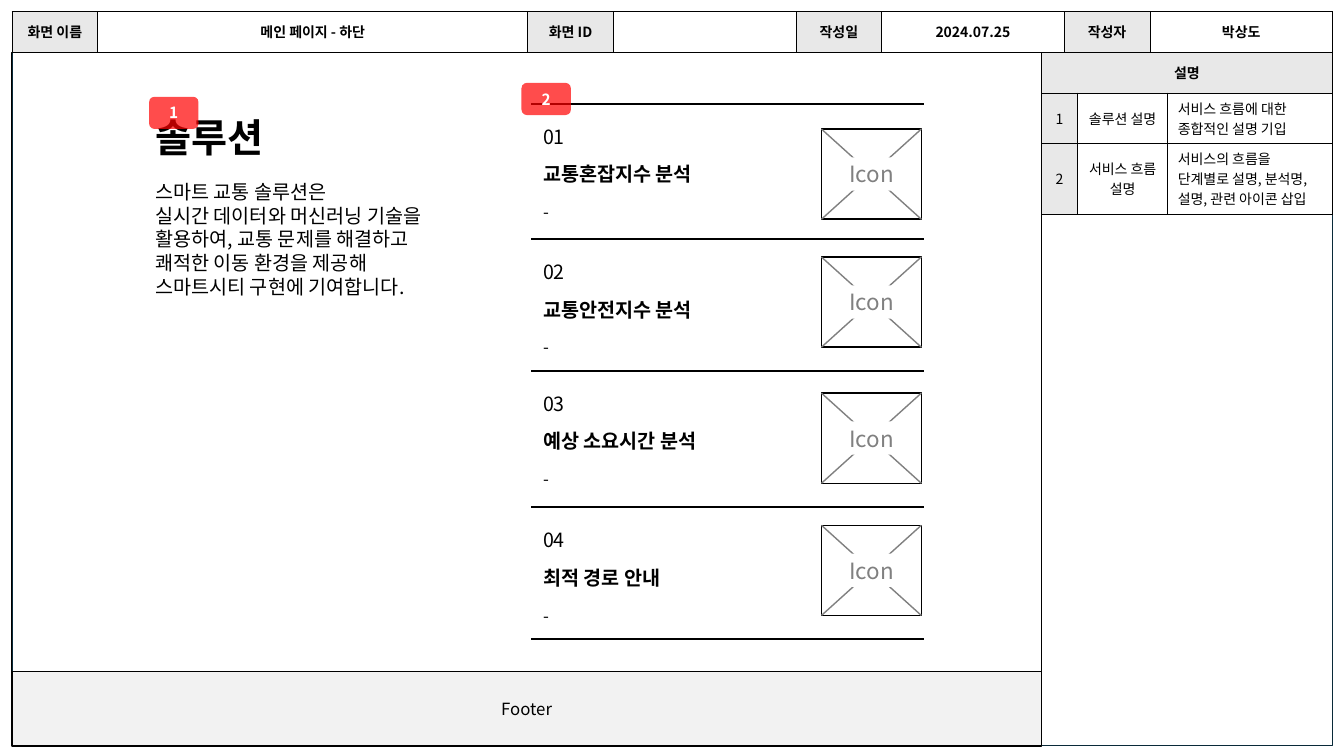
from lxml.etree import SubElement
from pptx import Presentation
from pptx.dml.color import RGBColor
from pptx.enum.shapes import MSO_CONNECTOR as Connector, MSO_SHAPE as Shape
from pptx.enum.text import MSO_ANCHOR as Anchor, MSO_AUTO_SIZE as AutoSize, PP_ALIGN as Align
from pptx.oxml.ns import qn
from pptx.util import Pt

BLACK = RGBColor(0x00, 0x00, 0x00)
WHITE = RGBColor(0xFF, 0xFF, 0xFF)
GRAY = RGBColor(0x80, 0x80, 0x80)
LABEL_GRAY = RGBColor(0xE8, 0xE8, 0xE8)
FOOTER_GRAY = RGBColor(0xF2, 0xF2, 0xF2)
FRAME_NAVY = RGBColor(0x09, 0x2A, 0x39)
RED = RGBColor(0xFF, 0x00, 0x00)
FONT = "Noto Sans CJK KR"

CENTERED = {"word_wrap": True, "vertical_anchor": Anchor.MIDDLE, "margin_top": 0, "margin_bottom": 0}
HUGGING = {"word_wrap": False, "vertical_anchor": Anchor.TOP, "auto_size": AutoSize.SHAPE_TO_FIT_TEXT}
WRAPPED = {"word_wrap": True, "vertical_anchor": Anchor.TOP, "auto_size": AutoSize.NONE}


def apply(target, values):
    for name, value in values.items():
        setattr(target, name, value)


def place(box):
    return [Pt(length) for length in box]


def write(frame, lines, size, color=BLACK, bold=False, paragraph_format=None, frame_format=None):
    apply(frame, frame_format or {})
    for index, line in enumerate(lines):
        paragraph = frame.add_paragraph() if index else frame.paragraphs[0]
        apply(paragraph, paragraph_format or {"alignment": Align.LEFT})
        run = paragraph.add_run()
        run.text = line
        run.font.color.rgb = color
        apply(run.font, {"size": Pt(size), "bold": bold, "name": FONT})
        SubElement(run._r.get_or_add_rPr(), qn("a:ea"), typeface=FONT)


def add_box(shapes, box, kind=Shape.RECTANGLE, fill=None, line=None, width=1):
    shape = shapes.add_shape(kind, *place(box))
    shape.shadow.inherit = False
    if fill is None:
        shape.fill.background()
    else:
        shape.fill.solid()
        shape.fill.fore_color.rgb = fill
    if line is None:
        shape.line.fill.background()
    else:
        shape.line.color.rgb = line
        shape.line.width = Pt(width)
    return shape


def add_line(shapes, start, end, color=BLACK):
    line = shapes.add_connector(Connector.STRAIGHT, *place(start + end))
    line.line.color.rgb = color
    line.line.width = Pt(1)
    SubElement(line._element.spPr, qn("a:effectLst"))


def add_grid(shapes, box, widths, rows):
    """Table of (text, fill, alignment, bold) cells with thin black borders."""
    table = shapes.add_table(len(rows), len(widths), *place(box)).table
    apply(table, {"first_row": False, "horz_banding": False})
    for column, width in zip(table.columns, widths):
        column.width = Pt(width)
    for r, row in enumerate(rows):
        for c, (text, fill, alignment, bold) in enumerate(row):
            cell = table.cell(r, c)
            cell.vertical_anchor = Anchor.MIDDLE
            if text:
                write(cell.text_frame, [text], 10, bold=bold, paragraph_format={"alignment": alignment})
            properties = cell._tc.get_or_add_tcPr()
            for side in ("a:lnL", "a:lnR", "a:lnT", "a:lnB"):
                border = SubElement(properties, qn(side), w=str(Pt(0.5)))
                SubElement(SubElement(border, qn("a:solidFill")), qn("a:srgbClr"), val=str(BLACK))
            if fill is None:
                cell.fill.background()
            else:
                cell.fill.solid()
                cell.fill.fore_color.rgb = fill
    return table


def add_screen_info(shapes, box):
    info = [("화면 이름", "메인 페이지 - 하단"), ("화면 ID", ""),
            ("작성일", "2024.07.25"), ("작성자", "박상도")]
    row = []
    for label, value in info:
        row += [(label, LABEL_GRAY, Align.CENTER, True), (value, None, Align.CENTER, True)]
    add_grid(shapes, box, [61.2, 307.2] + [61.2, 130.4] * 3, [row])


def add_descriptions(shapes, box):
    notes = [("솔루션 설명", "서비스 흐름에 대한 종합적인 설명 기입"),
             ("서비스 흐름 설명", "서비스의 흐름을 단계별로 설명, 분석명, 설명, 관련 아이콘 삽입")]
    rows = [[(text, LABEL_GRAY, Align.CENTER, True) for text in ("설명", "", "")]]
    for number, (part, note) in enumerate(notes, 1):
        rows.append([(str(number), LABEL_GRAY, Align.CENTER, False),
                     (part, None, Align.CENTER, False), (note, None, Align.LEFT, False)])
    table = add_grid(shapes, box, [25.9, 64.4, 117.7], rows)
    table.cell(0, 0).merge(table.cell(0, 2))


def add_intro(slide, box):
    left, top, width, height = box
    title, body = slide.shapes.title, slide.placeholders[1]
    sides = ("left", "top", "width", "height")
    apply(title, dict(zip(sides, place((left, top, 99.4, 41)))))
    write(title.text_frame, ["솔루션"], 28, bold=True, frame_format=HUGGING)
    apply(body, dict(zip(sides, place((left, top + 48.2, width, height - 48.2)))))
    description = ["스마트 교통 솔루션은", "실시간 데이터와 머신러닝 기술을", "활용하여, 교통 문제를 해결하고",
                   "쾌적한 이동 환경을 제공해", "스마트시티 구현에 기여합니다."]
    write(body.text_frame, description, 14, frame_format=WRAPPED,
          paragraph_format={"alignment": Align.LEFT, "space_before": Pt(0), "line_spacing": Pt(16.8)})
    for paragraph in body.text_frame.paragraphs:
        properties = paragraph._p.get_or_add_pPr()
        apply_indent = {"marL": "0", "indent": "0"}
        for name, value in apply_indent.items():
            properties.set(name, value)
        SubElement(properties, qn("a:buNone"))


def add_icon(slide, box):
    left, top, width, height = box
    right, bottom = left + width, top + height
    icon = slide.shapes.add_group_shape().shapes
    add_box(icon, box, fill=WHITE, line=BLACK)
    add_line(icon, (left, bottom), (right, top), GRAY)
    add_line(icon, (left, top), (right, bottom), GRAY)
    label = add_box(icon, (left + 8.65, top + 20.2, width - 17.3, 23.8), fill=WHITE)
    write(label.text_frame, ["Icon"], 16, GRAY, paragraph_format={"alignment": Align.CENTER},
          frame_format=CENTERED | {"margin_left": 0, "margin_right": 0})


def add_service(slide, box, number, name, name_width, icon_top):
    left, top, width, _ = box
    service = slide.shapes.add_group_shape().shapes
    add_line(service, (left, top), (left + width, top))
    texts = [(f"{number:02}", 11.5, 30.2, 24.5, 14, False),
             (name, 38.2, name_width, 24.5, 14, True),
             ("-", 66.6, 19.4, 21.6, 12, False)]
    for text, offset, text_width, height, size, bold in texts:
        text_box = service.add_textbox(*place((left + 1.4, top + offset, text_width, height)))
        write(text_box.text_frame, [text], size, bold=bold, frame_format=HUGGING)
    add_icon(slide, (left + 207.4, icon_top, 71.3, 64.4))


def add_services(slide, box):
    left, top, width, height = box
    # name, name width, row top, icon top
    services = [("교통혼잡지수 분석", 132.5, 0, 18), ("교통안전지수 분석", 132.5, 96.5, 109.4),
                ("예상 소요시간 분석", 137.5, 190.8, 206.6), ("최적 경로 안내", 109.4, 288, 301)]
    for number, (name, name_width, row_top, icon_top) in enumerate(services, 1):
        add_service(slide, (left, top + row_top, width, 96), number, name, name_width, top + icon_top)
    add_line(slide.shapes, (left, top + height), (left + width, top + height))


def add_footer(shapes, box):
    footer = add_box(shapes, box, fill=FOOTER_GRAY, line=BLACK, width=0.75)
    write(footer.text_frame, ["Footer"], 12, paragraph_format={"alignment": Align.CENTER},
          frame_format=CENTERED)


def add_badge(shapes, box, number):
    badge = add_box(shapes, box, Shape.ROUNDED_RECTANGLE, fill=RED)
    color = badge.fill._xPr.find(qn("a:solidFill"))[0]
    SubElement(color, qn("a:alpha"), val="70000")
    write(badge.text_frame, [str(number)], 11, WHITE, True,
          {"alignment": Align.CENTER}, CENTERED)


def main():
    deck = Presentation()
    apply(deck, {"slide_width": Pt(960), "slide_height": Pt(540)})
    slide = deck.slides.add_slide(deck.slide_layouts[1])
    shapes = slide.shapes

    # Screen frames and specification tables
    add_box(shapes, (8.6, 37.4, 735.2, 495.4), line=BLACK)
    add_box(shapes, (8.6, 8.1, 943.2, 524.5), line=FRAME_NAVY, width=0.5)
    add_screen_info(shapes, (8.6, 8.1, 943.2, 29.3))
    add_descriptions(shapes, (743.8, 37.4, 208, 87))

    # Page content
    add_footer(shapes, (8.6, 479.5, 735.2, 53.3))
    add_intro(slide, (103.7, 77, 234.7, 140.4))
    add_services(slide, (379.4, 74.2, 280.8, 382.3))

    # Numbered markers
    for number, (left, top) in enumerate([(106.5, 69.1), (372.5, 59.2)], 1):
        add_badge(shapes, (left, top, 35.3, 23), number)

    deck.save("out.pptx")


if __name__ == "__main__":
    main()
